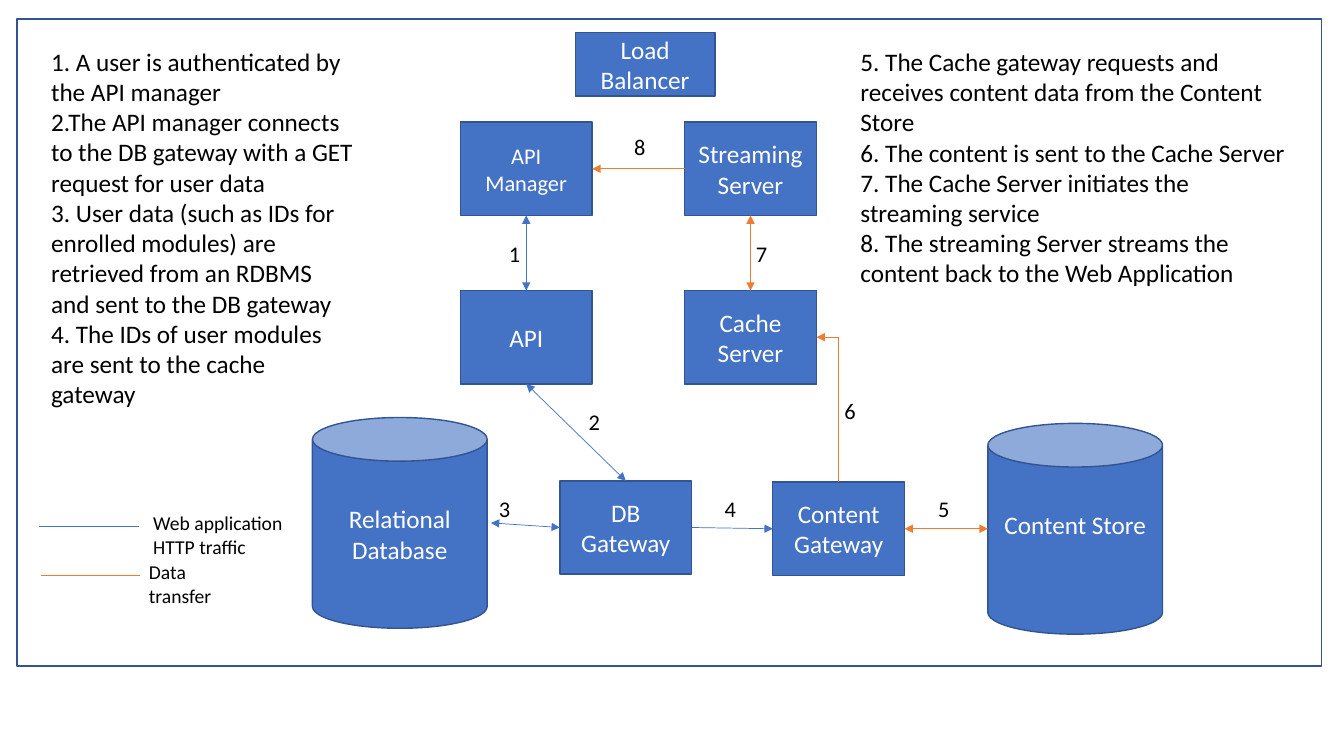
from dataclasses import dataclass

from lxml.etree import SubElement
from pptx import Presentation
from pptx.dml.color import RGBColor
from pptx.enum.shapes import MSO_CONNECTOR, MSO_SHAPE
from pptx.enum.text import MSO_ANCHOR, MSO_AUTO_SIZE, PP_ALIGN
from pptx.oxml.ns import qn
from pptx.util import Inches, Pt

COLS, ROWS = 160, 90
INK = {"fill": "4472C4", "edge": "325491", "web": "4472C4",
       "data": "ED7D31", "text": "000000", "light": "FFFFFF"}
FONT = "Calibri"
Point = tuple[float, float]

deck = Presentation()
deck.slide_width, deck.slide_height = Inches(13.33), Inches(7.5)
slide = deck.slides.add_slide(deck.slide_layouts[6])
shapes = slide.shapes


def col(n: float) -> int:
    return round(deck.slide_width * n / COLS)


def row(n: float) -> int:
    return round(deck.slide_height * n / ROWS)


def hue(name: str) -> RGBColor:
    return RGBColor.from_string(INK[name])


@dataclass(frozen=True)
class Node:
    text: str
    x: float
    y: float
    w: float = 15.7
    h: float = 11.1
    kind: MSO_SHAPE = MSO_SHAPE.RECTANGLE
    size: int = 18
    lift: float = 0

    def side(self, name: str, gap: float = 0) -> Point:
        mid, half = self.x + self.w / 2, self.y + self.h / 2
        return {"top": (mid, self.y - gap),
                "bottom": (mid, self.y + self.h + gap),
                "left": (self.x - gap, half),
                "right": (self.x + self.w + gap, half)}[name]


@dataclass(frozen=True)
class Link:
    start: Point
    end: Point
    ink: str
    head: bool = False
    tail: bool = True


@dataclass(frozen=True)
class Note:
    lines: tuple[str, ...]
    x: float
    y: float
    w: float
    h: float
    size: int
    wrap: bool = True


def write(frame, lines: tuple[str, ...], size: int, ink: str, align: PP_ALIGN) -> None:
    for i, line in enumerate(lines):
        para = frame.paragraphs[0] if i == 0 else frame.add_paragraph()
        para.text = line
        para.alignment = align
        para.font.name, para.font.size = FONT, Pt(size)
        para.font.color.rgb = hue(ink)


def draw_node(node: Node, solid: bool = True) -> None:
    shape = shapes.add_shape(node.kind, col(node.x), row(node.y), col(node.w), row(node.h))
    shape.shadow.inherit = False
    shape.line.color.rgb, shape.line.width = hue("edge"), Pt(1)
    if not solid:
        shape.fill.background()
        return
    shape.fill.solid()
    shape.fill.fore_color.rgb = hue("fill")
    frame = shape.text_frame
    frame.word_wrap, frame.vertical_anchor = True, MSO_ANCHOR.MIDDLE
    frame.margin_bottom += row(node.lift)
    write(frame, (node.text,), node.size, "light", PP_ALIGN.CENTER)


def draw_link(link: Link, kind: MSO_CONNECTOR = MSO_CONNECTOR.STRAIGHT):
    (x1, y1), (x2, y2) = link.start, link.end
    line = shapes.add_connector(kind, col(x1), row(y1), col(x2), row(y2))
    line.line.color.rgb, line.line.width = hue(link.ink), Pt(0.5)
    props = line._element.spPr
    for tag, shown in (("a:headEnd", link.head), ("a:tailEnd", link.tail)):
        if shown:
            SubElement(props.find(qn("a:ln")), qn(tag), type="triangle")
    SubElement(props, qn("a:effectLst"))
    return line


def draw_bend(link: Link) -> None:
    (x1, y1), (x2, y2) = link.start, link.end
    mid_x, mid_y = (x1 + x2) / 2, (y1 + y2) / 2
    half_w, half_h = (y1 - y2) / 2, (x1 - x2) / 2
    flat = Link((mid_x - half_w, mid_y + half_h), (mid_x + half_w, mid_y - half_h), link.ink)
    props = draw_link(flat, MSO_CONNECTOR.ELBOW)._element.spPr
    props.find(qn("a:xfrm")).set("rot", str(270 * 60000))
    props.find(qn("a:prstGeom")).set("prst", "bentConnector2")


def draw_note(note: Note) -> None:
    box = shapes.add_textbox(col(note.x), row(note.y), col(note.w), row(note.h))
    frame = box.text_frame
    frame.word_wrap, frame.auto_size = note.wrap, MSO_AUTO_SIZE.SHAPE_TO_FIT_TEXT
    write(frame, note.lines, note.size, "text", PP_ALIGN.LEFT)


LEFT, RIGHT = 54.8, 81.5
UPPER, MID = 14.55, 34.6
CAN = MSO_SHAPE.CAN

users = Node("Relational Database", 37.2, 49.7, 20.8, 25.1, CAN)
store = Node("Content Store", 117.6, 50.4, 20.8, 25.1, CAN, lift=3.6)
gate = Node("DB Gateway", 66.65, 57.25)
cache = Node("Cache Server", RIGHT, MID)
stream = Node("Streaming Server", RIGHT, UPPER)
api = Node("API", LEFT, MID)
login = Node("API Manager", LEFT, UPPER, size=16)
content = Node("Content Gateway", 92, 57.4)
load = Node("Load Balancer", 68.5, 3.85, 16.6, 7.6)
border = Node("", 2.05, 2.25, 155.3, 77.05)

links = (
    Link(login.side("bottom"), api.side("top"), "web", head=True),
    Link(api.side("bottom"), gate.side("top"), "web", head=True),
    Link(users.side("right", 0.45), gate.side("left"), "web", head=True),
    Link(gate.side("right"), content.side("left"), "web"),
    Link(content.side("right"), store.side("left"), "data", head=True),
    Link(stream.side("bottom"), cache.side("top"), "data", head=True),
    Link(stream.side("left"), login.side("right"), "data"),
    Link((4.7, 62.65), (16.55, 62.65), "web", tail=False),
    Link((4.9, 68.5), (16.7, 68.5), "data", tail=False),
)
marks = ((59.4, 27.95), (68.9, 48), (58.2, 58.3), (85.1, 58.3),
         (110.5, 58.3), (99.35, 46.7), (88.8, 27.95), (74.3, 15.25))
notes = (
    Note(("1. A user is authenticated by the API manager",
          "2.The API manager connects to the DB gateway with a GET request for user data",
          "3. User data (such as IDs for enrolled modules) are retrieved from an RDBMS "
          "and sent to the DB gateway",
          "4. The IDs of user modules are sent to the cache gateway"),
         4.9, 4.9, 38.3, 44.9, 18),
    Note(("5. The Cache gateway requests and receives content data from the Content Store",
          "6. The content is sent to the Cache Server",
          "7. The Cache Server initiates the streaming service",
          "8. The streaming Server streams the content back to the Web Application"),
         101.25, 4.9, 53.5, 34, 18),
    Note(("Web application", "HTTP traffic"), 17.05, 60.25, 25.3, 6.85, 14),
    Note(("Data", "transfer"), 16.55, 66.1, 25.3, 6.85, 14),
)

draw_node(border, solid=False)
for node in (users, store, gate, cache, stream, api, login, content, load):
    draw_node(node)
for link in links:
    draw_link(link)
draw_bend(Link(content.side("top"), cache.side("right"), "data"))
for step, (x, y) in enumerate(marks, 1):
    draw_note(Note((str(step),), x, y, 3.8, 4.45, 16, wrap=False))
for note in notes:
    draw_note(note)

deck.save("out.pptx")
